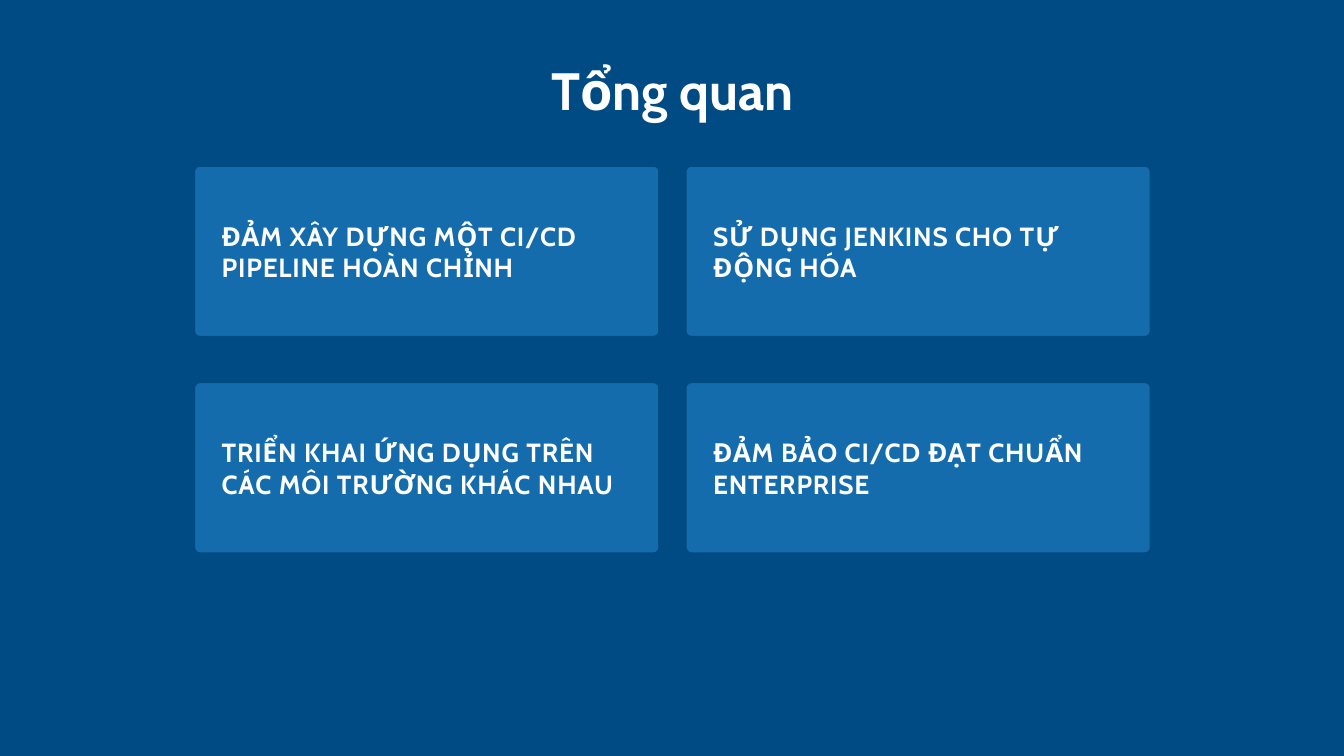
from pptx import Presentation
from pptx.dml.color import RGBColor
from pptx.enum.shapes import MSO_SHAPE as SHAPE
from pptx.enum.text import MSO_ANCHOR as ANCHOR, MSO_AUTO_SIZE as FIT, PP_ALIGN as ALIGN
from pptx.util import Inches, Pt


def rgb(value):
    return RGBColor.from_string(value)


def write(shape, text, size, leading, color, align, anchor, margin):
    tf = shape.text_frame
    tf.word_wrap = True
    tf.auto_size = FIT.NONE
    tf.vertical_anchor = anchor
    tf.margin_left = tf.margin_right = Inches(margin)
    tf.margin_top = tf.margin_bottom = Inches(margin)
    p = tf.paragraphs[0]
    p.alignment = align
    p.line_spacing = Pt(leading)
    p.space_before = Pt(0)
    r = p.add_run()
    r.text = text
    r.font.name = "Cabin"
    r.font.size = Pt(size)
    r.font.bold = True
    r.font.color.rgb = rgb(color)
    return r


prs = Presentation()
prs.slide_width, prs.slide_height = Inches(14.22), Inches(8)
s = prs.slides.add_slide(prs.slide_layouts[5])
s.background.fill.solid()
s.background.fill.fore_color.rgb = rgb("004B84")

# Title
title = s.shapes.title
title.left, title.top = Inches(1.26), Inches(0.61)
title.width, title.height = Inches(11.71), Inches(0.66)
write(title, "Tổng quan", 40, 48, "FFFFFF", ALIGN.CENTER, ANCHOR.TOP, 0)

# Cards in a two-by-two grid
cards = [
    "ĐẢM XÂY DỰNG MỘT CI/CD PIPELINE HOÀN CHỈNH",
    "SỬ DỤNG JENKINS CHO TỰ ĐỘNG HÓA",
    "TRIỂN KHAI ỨNG DỤNG TRÊN CÁC MÔI TRƯỜNG KHÁC NHAU",
    "ĐẢM BẢO CI/CD ĐẠT CHUẨN ENTERPRISE",
]
left, top, width, height = 2.06, 1.76, 4.91, 1.8
step_x, step_y = 5.2, 2.29
for i, text in enumerate(cards):
    row, col = divmod(i, 2)
    card = s.shapes.add_shape(
        SHAPE.ROUNDED_RECTANGLE,
        Inches(left + col * step_x), Inches(top + row * step_y),
        Inches(width), Inches(height))
    card.adjustments[0] = 0.03
    card.shadow.inherit = False
    card.fill.solid()
    card.fill.fore_color.rgb = rgb("156CAD")
    card.line.color.rgb = rgb("004B84")
    card.line.width = Pt(0.75)
    r = write(card, text, 20, 24, "FEFEFE", ALIGN.LEFT, ANCHOR.MIDDLE, 0.27)
    r.font._element.set("spc", "60")  # letter spacing in 1/100 pt

prs.save("out.pptx")
